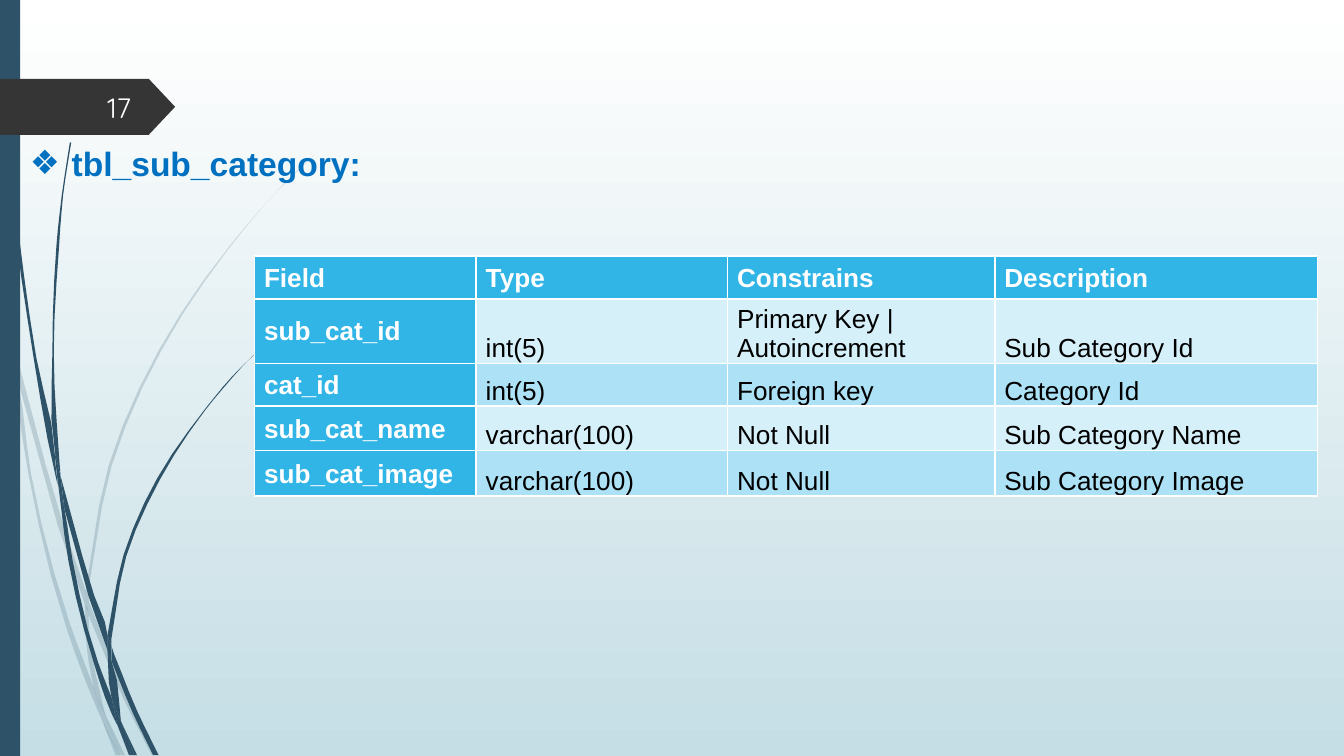
from lxml.etree import SubElement
from pptx import Presentation
from pptx.dml.color import RGBColor
from pptx.enum.shapes import MSO_SHAPE
from pptx.enum.text import MSO_ANCHOR, MSO_AUTO_SIZE, PP_ALIGN
from pptx.oxml.ns import qn
from pptx.util import Cm, Pt

# Content
TITLE = "tbl_sub_category:"
PAGE = "17"
ROWS = [
    ("Field", "Type", "Constrains", "Description"),
    ("sub_cat_id", "int(5)", "Primary Key | Autoincrement", "Sub Category Id"),
    ("cat_id", "int(5)", "Foreign key", "Category Id"),
    ("sub_cat_name", "varchar(100)", "Not Null", "Sub Category Name"),
    ("sub_cat_image", "varchar(100)", "Not Null", "Sub Category Image"),
]
WIDTHS = (4.19, 4.75, 5.05, 6.1)
HEIGHTS = (0.81, 1.19, 0.81, 0.84, 0.86)
NAVY, DARK, BLUE, HEAD = "2E5369", "353535", "0070C0", "31B4E6"
BANDS = ("D6F0FA", "ADE1F5")

# Grass blades: each piece is a ring of curved edges, in units of 2.54 cm
UNIT, GRAIN = Cm(2.54), 1000
PALE = [
    ([(0.08, 2.63), (0.06, 2.41), (0, 2.11)], [(0, 2.24), (0.08, 2.58)]),
    ([(0.43, 3.91), (0.63, 4.49)],
     [(0.64, 4.4), (0.47, 3.9), (0.11, 2.59)], [(0.13, 2.82), (0.43, 3.91)]),
    ([(0.69, 4.55), (0.66, 4.47)],
     [(0.66, 4.58), (0.92, 5.2), (1.13, 5.62)],
     [(1.16, 5.62), (0.95, 5.19), (0.69, 4.55)]),
    ([(0.89, 5.62), (0.93, 5.62)], [(0.79, 5.33), (0.89, 5.62)]),
    ([(0.7, 5.12), (0.52, 4.64), (0.23, 3.52), (0.13, 2.82), (0.08, 2.63)],
     [(0.08, 2.63), (0.21, 3.52), (0.49, 4.66), (0.69, 5.2), (0.76, 5.36)],
     [(0.74, 5.3), (0.7, 5.12)]),
    ([(0.63, 4.49), (0.65, 4.85), (0.7, 5.12), (0.72, 5.19), (0.79, 5.33)],
     [(0.78, 5.3), (0.68, 4.84), (0.66, 4.58), (0.66, 4.56), (0.63, 4.49)]),
    ([(0.66, 4.38), (0.83, 3.47), (1.2, 2.61), (1.71, 1.84), (2.01, 1.48),
      (2.17, 1.31), (2.34, 1.15)],
     [(2.34, 1.15), (2.17, 1.31), (2.01, 1.48), (1.71, 1.83), (1.18, 2.61),
      (0.81, 3.46), (0.64, 4.38)],
     [(0.64, 4.4), (0.66, 4.47)]),
    ([(0.76, 5.36), (0.86, 5.62)], [(0.89, 5.62), (0.76, 5.36)]),
    ([(0.66, 4.56), (0.66, 4.58)], [(0.66, 4.47), (0.64, 4.4)],
     [(0.63, 4.49), (0.66, 4.56)]),
    ([(0.72, 5.19), (0.7, 5.12)], [(0.74, 5.3), (0.76, 5.36), (0.89, 5.62)],
     [(0.79, 5.33), (0.72, 5.19)]),
]
BOLD = [
    ([(0.05, 0.82), (0.12, 1.75), (0.25, 2.66), (0.42, 3.57), (0.43, 3.61)],
     [(0.41, 3.43), (0.41, 3.4), (0.27, 2.66), (0.14, 1.74), (0.06, 0.82),
      (0.03, 0.36), (0.03, 0)],
     [(0.02, 0), (0.03, 0.36), (0.05, 0.82)]),
    ([(0.66, 4.44), (0.8, 4.84)],
     [(0.8, 4.75), (0.8, 4.73), (0.7, 4.43), (0.45, 3.54)],
     [(0.48, 3.79), (0.66, 4.44)]),
    ([(0.85, 4.87), (0.83, 4.81)],
     [(0.83, 4.92), (0.99, 5.31), (1.14, 5.62)],
     [(1.18, 5.62), (1.02, 5.29), (0.85, 4.87)]),
    ([(0.83, 5.19), (0.73, 4.93), (0.54, 4.17), (0.48, 3.79), (0.43, 3.58)],
     [(0.43, 3.58), (0.51, 4.18), (0.7, 4.94), (0.83, 5.31), (0.88, 5.41)],
     [(0.87, 5.38), (0.83, 5.19)]),
    ([(0.45, 3.54), (0.44, 3.4), (0.4, 2.62), (0.44, 1.83), (0.47, 1.45),
      (0.53, 1.06)],
     [(0.52, 1.06), (0.46, 1.45), (0.42, 1.83), (0.39, 2.62), (0.41, 3.37),
      (0.45, 3.54)]),
    ([(1, 5.62), (1.02, 5.62)], [(0.91, 5.39), (1, 5.62)]),
    ([(0.43, 3.58), (0.48, 3.79)], [(0.45, 3.54), (0.41, 3.37)],
     [(0.41, 3.4), (0.43, 3.58)]),
    ([(0.83, 4.75), (0.94, 4.14), (1.19, 3.57), (1.53, 3.05), (1.73, 2.81),
      (1.84, 2.69), (1.96, 2.58)],
     [(1.95, 2.58), (1.84, 2.69), (1.73, 2.8), (1.53, 3.04), (1.17, 3.56),
      (0.92, 4.13), (0.8, 4.73)],
     [(0.83, 4.81), (0.83, 4.75)]),
    ([(0.88, 5.41), (0.96, 5.62)], [(0.98, 5.62), (0.88, 5.41)]),
    ([(0.8, 4.84), (0.83, 5.19), (0.87, 5.3), (0.91, 5.39)],
     [(0.9, 5.37), (0.83, 4.92), (0.81, 4.88), (0.8, 4.84)]),
    ([(0.8, 4.84), (0.81, 4.88), (0.83, 4.92)], [(0.83, 4.81), (0.8, 4.73)],
     [(0.8, 4.75), (0.8, 4.84)]),
    ([(0.87, 5.3), (0.83, 5.19)], [(0.87, 5.38), (0.88, 5.41), (0.98, 5.62)],
     [(1, 5.62), (0.91, 5.39), (0.87, 5.3)]),
]


def tint(code):
    return RGBColor.from_string(code)


def paint(shape, code, alpha=None):
    shape.shadow.inherit = False
    shape.fill.solid()
    shape.fill.fore_color.rgb = tint(code)
    shape.line.fill.background()
    if alpha:
        clr = shape.fill._xPr.find(qn("a:solidFill"))[0]
        SubElement(clr, qn("a:alpha"), val=str(alpha * 1000))


def style(para, size, font, code, bold=False):
    for run in para.runs:
        run.font.size, run.font.name, run.font.bold = Pt(size), font, bold
        run.font.color.rgb = tint(code)


def curve(edge, steps=3):
    """Points of a smooth curve through the edge; two points stay straight."""
    dots = [complex(*dot) * GRAIN for dot in edge]
    gaps = [abs(b - a) for a, b in zip(dots, dots[1:])]
    dirs = [(b - a) / g for a, b, g in zip(dots, dots[1:], gaps)]
    turns = [(d * h + e * g) / (g + h)
             for d, e, g, h in zip(dirs, dirs[1:], gaps, gaps[1:])]
    turns = [dirs[0], *turns, dirs[-1]]
    steps = steps if len(edge) > 2 else 1
    line = [dots[0]]
    for a, b, u, v, g in zip(dots, dots[1:], turns, turns[1:], gaps):
        for n in range(1, steps + 1):
            t = n / steps
            line.append(a + (b - a) * t * t * (3 - 2 * t)
                        + g * t * (1 - t) * (u * (1 - t) - v * t))
    return [(round(dot.real), round(dot.imag)) for dot in line]


deck = Presentation()
deck.slide_width, deck.slide_height = Cm(25.4), Cm(14.29)
slide = deck.slides.add_slide(deck.slide_layouts[6])
shapes = slide.shapes

# Background
back = slide.background.fill
back.gradient()
back.gradient_angle = 270
for stop, code, pos in zip(back.gradient_stops, ("FFFFFF", "C5DEE5"), (0, 1)):
    stop.color.rgb, stop.position = tint(code), pos

# Grass
for group, alpha in ((PALE, 20), (BOLD, None)):
    for piece in group:
        dots = list(dict.fromkeys(dot for edge in piece for dot in curve(edge)))
        form = shapes.build_freeform(*dots[0], scale=UNIT / GRAIN)
        form.add_line_segments(dots[1:], close=True)
        paint(form.convert_to_shape(), NAVY, alpha)

# Side bar and page tag
bar = shapes.add_shape(MSO_SHAPE.RECTANGLE, 0, 0, Cm(0.38), deck.slide_height)
paint(bar, NAVY)
tag = shapes.add_shape(MSO_SHAPE.PENTAGON, 0, Cm(1.49), Cm(3.31), Cm(1.06))
tag.adjustments[0] = 0.47
paint(tag, DARK)
box = shapes.add_textbox(Cm(1.1), Cm(1.65), Cm(1.63), Cm(0.76)).text_frame
box.word_wrap = True
box.vertical_anchor = MSO_ANCHOR.MIDDLE
box.text = PAGE
box.paragraphs[0].alignment = PP_ALIGN.RIGHT
style(box.paragraphs[0], 15, "Quicksand", "FEFFFF")

# Title with its bullet
box = shapes.add_textbox(Cm(0.28), Cm(2.57), Cm(6.83), Cm(1.02)).text_frame
box.word_wrap = False
box.auto_size = MSO_AUTO_SIZE.SHAPE_TO_FIT_TEXT
box.text = TITLE
para = box.paragraphs[0]
para.alignment = PP_ALIGN.CENTER
props = para._p.get_or_add_pPr()
props.set("marL", str(Cm(0.79)))
props.set("indent", str(-Cm(0.79)))
SubElement(props, qn("a:buFont"), typeface="Arial")
SubElement(props, qn("a:buChar"), char="❖")
style(para, 18, "Arial", BLUE, True)

# Table
table = shapes.add_table(len(ROWS), len(WIDTHS), Cm(4.81), Cm(4.84),
                         Cm(sum(WIDTHS)), Cm(sum(HEIGHTS))).table
for col, width in zip(table.columns, WIDTHS):
    col.width = Cm(width)
for row, height in zip(table.rows, HEIGHTS):
    row.height = Cm(height)
for r, row in enumerate(ROWS):
    for c, text in enumerate(row):
        cell = table.cell(r, c)
        key = r == 0 or c == 0
        cell.text = text
        cell.vertical_anchor = MSO_ANCHOR.MIDDLE if key else MSO_ANCHOR.BOTTOM
        cell.margin_left = cell.margin_right = Cm(0.18)
        cell.margin_top, cell.margin_bottom = Cm(0.03), 0
        style(cell.text_frame.paragraphs[0], 14, "Arial",
              "FFFFFF" if key else "000000", key)
        for side in ("lnL", "lnR", "lnT", "lnB"):
            line = SubElement(cell._tc.get_or_add_tcPr(), qn("a:" + side),
                              w=str(Pt(1)))
            SubElement(SubElement(line, qn("a:solidFill")), qn("a:srgbClr"),
                       val="FFFFFF")
        cell.fill.solid()
        cell.fill.fore_color.rgb = tint(HEAD if key else BANDS[(r - 1) % 2])

deck.save("out.pptx")
